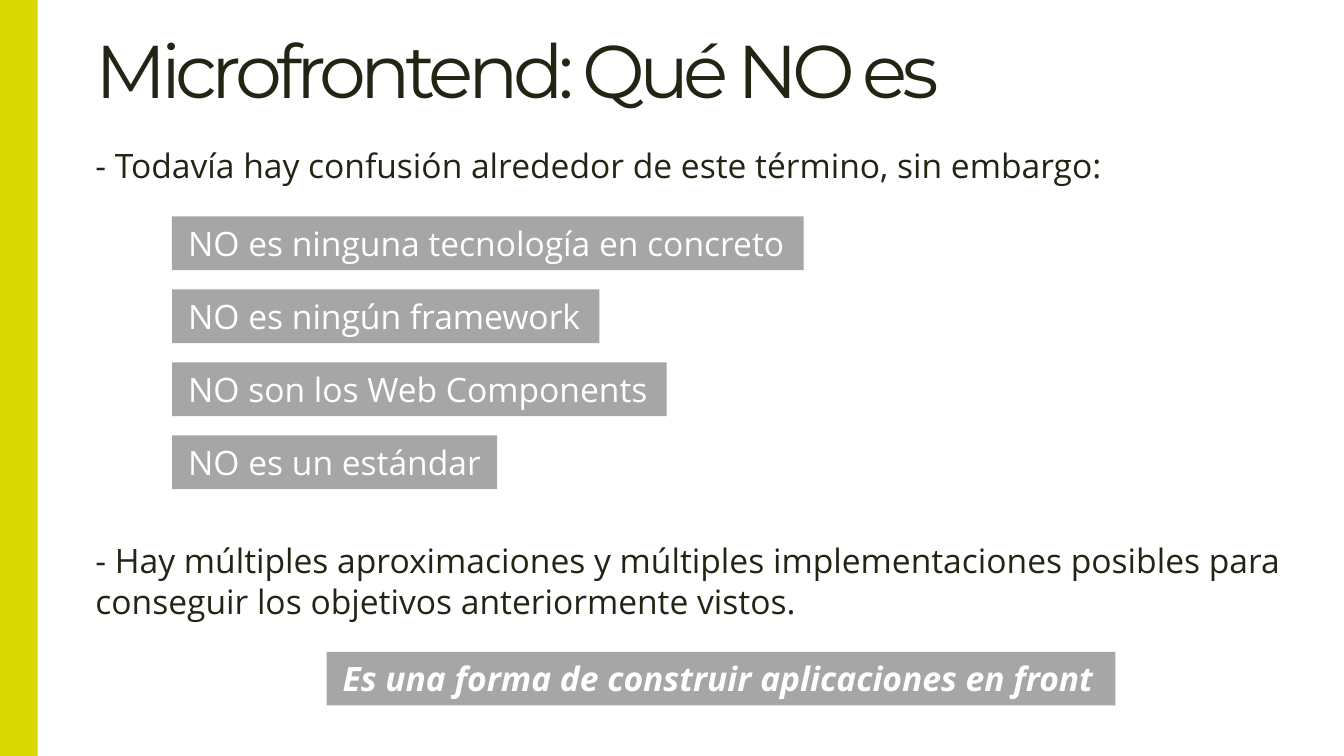
from pptx import Presentation
from pptx.dml.color import RGBColor
from pptx.enum.shapes import MSO_SHAPE
from pptx.enum.text import MSO_ANCHOR, MSO_AUTO_SIZE, PP_ALIGN
from pptx.util import Inches, Pt

RECTANGLE = MSO_SHAPE.RECTANGLE
TOP, BOTTOM = MSO_ANCHOR.TOP, MSO_ANCHOR.BOTTOM
LEFT = PP_ALIGN.LEFT
FIT_SHAPE, FIT_NONE = MSO_AUTO_SIZE.SHAPE_TO_FIT_TEXT, MSO_AUTO_SIZE.NONE

THEME = {
    "ink": RGBColor.from_string("242415"),
    "white": RGBColor.from_string("FFFFFF"),
    "label": RGBColor.from_string("A6A6A6"),
    "accent": RGBColor.from_string("D8D800"),
    "title": {"name": "Montserrat", "size": Pt(40)},
    "body": {"name": "Open Sans", "size": Pt(18)},
    "strong": {"name": "Open Sans", "size": Pt(18), "bold": True, "italic": True},
}

SLIDE_WIDTH = 10
SLIDE_HEIGHT = SLIDE_WIDTH * 9 / 16

deck = Presentation()
deck.slide_width, deck.slide_height = Inches(SLIDE_WIDTH), Inches(SLIDE_HEIGHT)
slide = deck.slides.add_slide(deck.slide_layouts[6])


def write(box, text, style, color, inset=0, wrap=True, anchor=TOP, fit=FIT_SHAPE):
    frame = box.text_frame
    layout = {
        "margin_left": Inches(inset),
        "margin_right": Inches(0.1),
        "margin_top": Inches(0.05),
        "margin_bottom": Inches(0.05),
        "word_wrap": wrap,
        "vertical_anchor": anchor,
        "auto_size": fit,
    }
    for name, value in layout.items():
        setattr(frame, name, value)
    para = frame.paragraphs[0]
    para.alignment = LEFT
    span = para.add_run()
    span.text = text
    for name, value in THEME[style].items():
        setattr(span.font, name, value)
    span.font.color.rgb = color
    return span


def add_block(left, top, width, height, fill):
    block = slide.shapes.add_shape(
        RECTANGLE, Inches(left), Inches(top), Inches(width), Inches(height)
    )
    block.shadow.inherit = False
    block.fill.solid()
    block.fill.fore_color.rgb = fill
    block.line.fill.background()
    return block


add_block(0, 0, 0.28, SLIDE_HEIGHT, THEME["accent"])

TEXT_LEFT, TEXT_WIDTH = Inches(0.71), Inches(9.02)
title = slide.shapes.add_textbox(TEXT_LEFT, 0, TEXT_WIDTH, Inches(0.89))
heading = write(
    title, "Microfrontend: Qué NO es", "title", THEME["ink"], anchor=BOTTOM, fit=FIT_NONE
)
heading.font._element.set("spc", "-300")

statements = [
    (1.03, 0.4, "- Todavía hay confusión alrededor de este término, sin embargo:"),
    (3.97, 0.71, "- Hay múltiples aproximaciones y múltiples implementaciones posibles "
                 "para conseguir los objetivos anteriormente vistos."),
]
for top, height, text in statements:
    box = slide.shapes.add_textbox(TEXT_LEFT, Inches(top), TEXT_WIDTH, Inches(height))
    write(box, text, "body", THEME["ink"])

denials = [
    ("NO es ninguna tecnología en concreto", 4.7),
    ("NO es ningún framework", 3.18),
    ("NO son los Web Components", 3.68),
    ("NO es un estándar", 2.42),
]
LABEL_LEFT, FIRST_TOP, LAST_TOP = 1.28, 1.61, 3.24
LABEL_STEP = (LAST_TOP - FIRST_TOP) / (len(denials) - 1)
labels = [
    (LABEL_LEFT, FIRST_TOP + row * LABEL_STEP, width, text, "body")
    for row, (text, width) in enumerate(denials)
]
labels.append((2.43, 4.85, 5.87, "Es una forma de construir aplicaciones en front", "strong"))
for left, top, width, text, style in labels:
    label = add_block(left, top, width, 0.4, THEME["label"])
    write(label, text, style, THEME["white"], inset=0.12, wrap=False)

deck.save("out.pptx")
